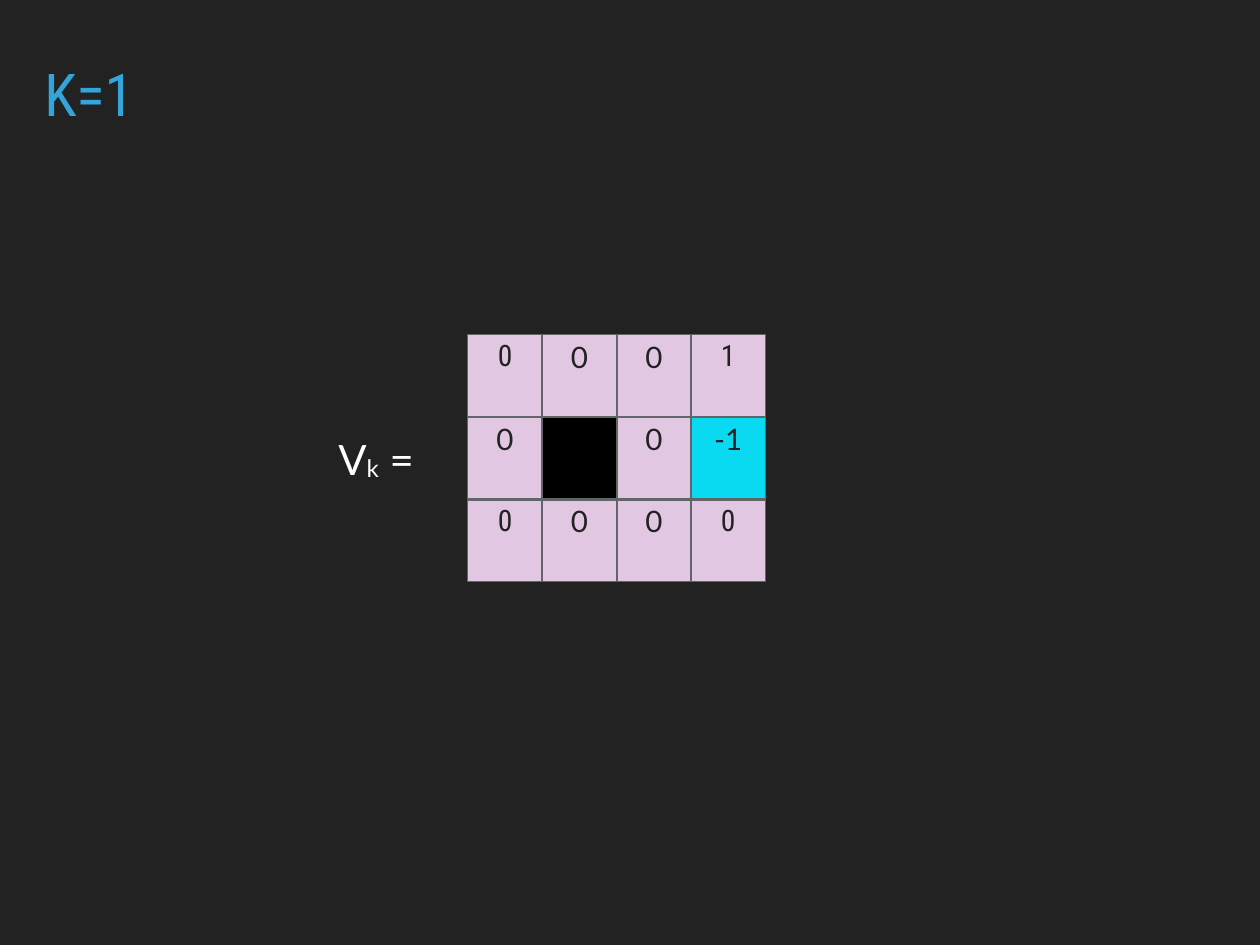
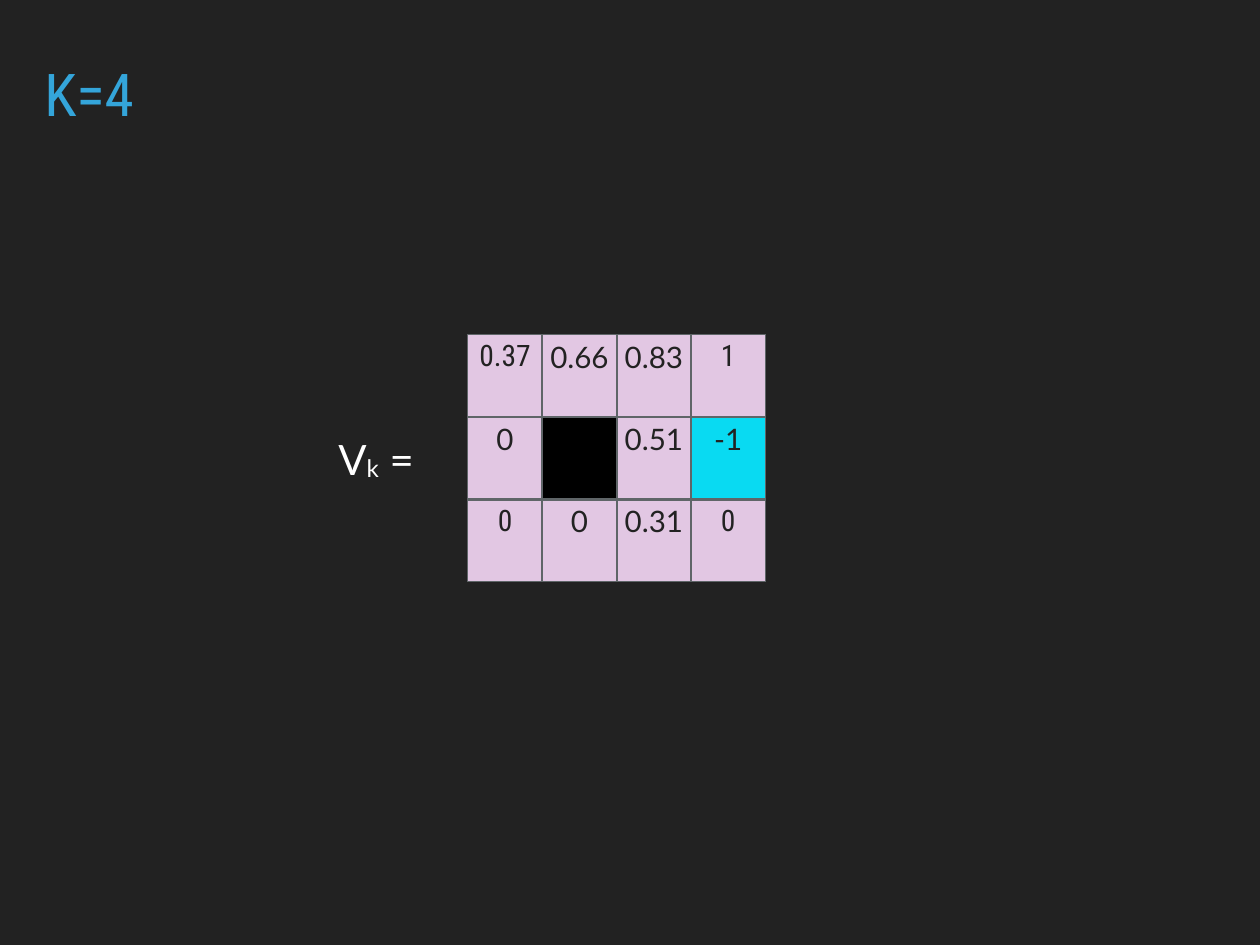
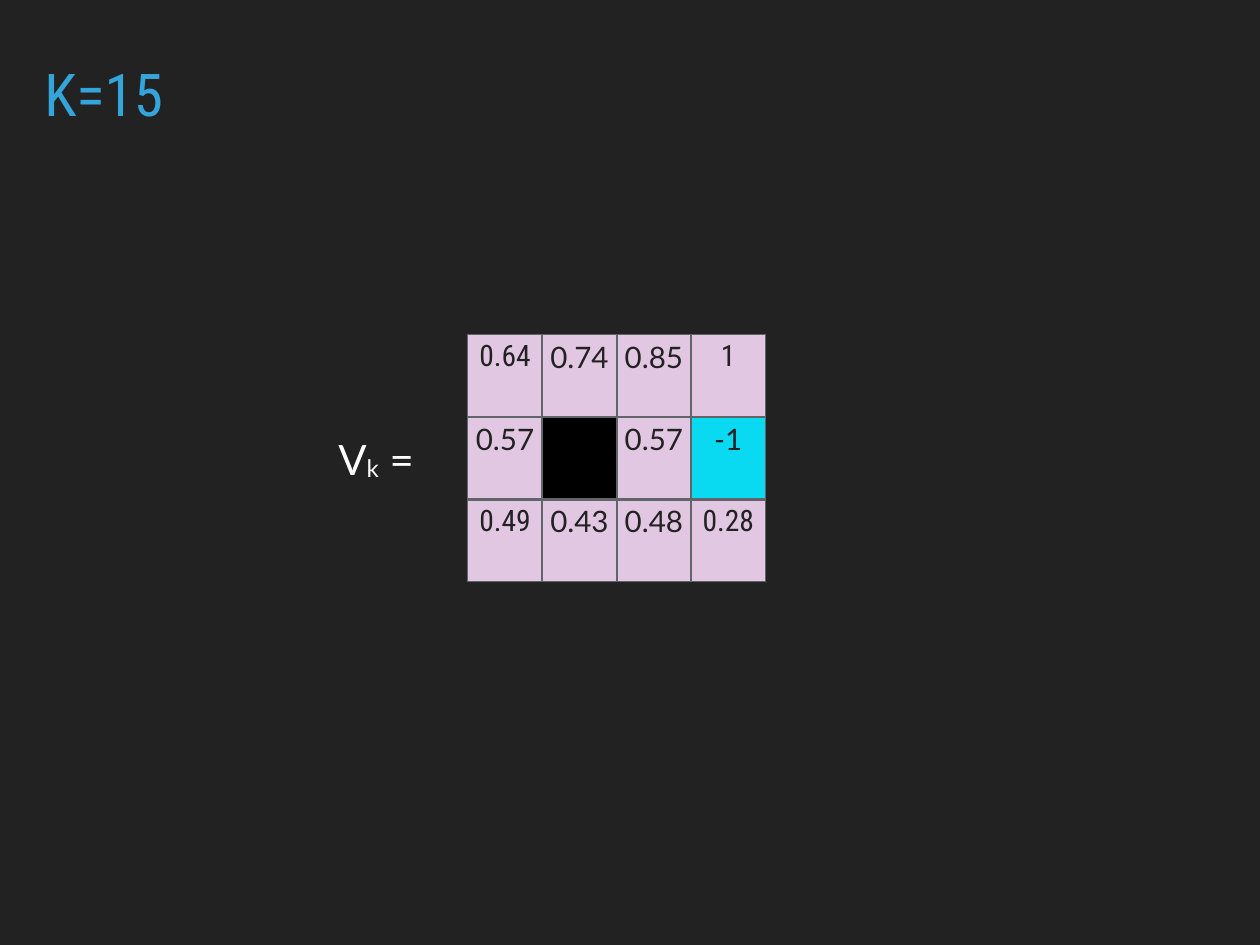
"""Build three slides of grid-world values after 1, 4 and 15 iterations."""
from lxml import etree
from pptx import Presentation
from pptx.dml.color import RGBColor
from pptx.enum import text
from pptx.oxml import ns
from pptx.util import Inches, Pt

BACKGROUND, TITLE, WHITE = "222222", "34A5DA", "FFFFFF"
CELL, WALL, PIT, BORDER = "E2C7E3", "000000", "09DAF2", "5F6568"
CONDENSED, BODY = "Roboto Condensed", "Lato"
ROWS, COLUMNS = 3, 4
CELL_WIDTH, CELL_HEIGHT = 0.84, 0.93
SPECIAL_FILLS = {(1, 1): WALL, (1, 3): PIT}
ITERATIONS = {
    1: [["0", "0", "0", "1"], ["0", "", "0", "-1"], ["0", "0", "0", "0"]],
    4: [["0.37", "0.66", "0.83", "1"], ["0", "", "0.51", "-1"], ["0", "0", "0.31", "0"]],
    15: [["0.64", "0.74", "0.85", "1"], ["0.57", "", "0.57", "-1"], ["0.49", "0.43", "0.48", "0.28"]],
}


def style(font, name, size, color):
    font.name = name
    font.size = Pt(size)
    font.color.rgb = RGBColor.from_string(color)


def add_text_box(slide, left, top, width, height):
    frame = slide.shapes.add_textbox(Inches(left), Inches(top), Inches(width), Inches(height)).text_frame
    frame.margin_left = frame.margin_right = frame.margin_top = frame.margin_bottom = Inches(0.06)
    return frame


presentation = Presentation()
presentation.slide_width = Inches(14.22)
presentation.slide_height = Inches(10.67)
background = presentation.slide_master.background.fill
background.solid()
background.fore_color.rgb = RGBColor.from_string(BACKGROUND)

for iteration, values in ITERATIONS.items():
    slide = presentation.slides.add_slide(presentation.slide_layouts[6])

    table = slide.shapes.add_table(
        ROWS, COLUMNS, Inches(5.28), Inches(3.78),
        Inches(COLUMNS * CELL_WIDTH), Inches(ROWS * CELL_HEIGHT)).table
    table.first_row = table.horz_banding = False
    for row in range(ROWS):
        for column in range(COLUMNS):
            cell = table.cell(row, column)
            cell.margin_left = cell.margin_right = Inches(0.06)
            cell.margin_top = cell.margin_bottom = Inches(0.05)

            outer_edges = {"lnL": column == 0, "lnR": column == COLUMNS - 1,
                           "lnT": row == 0, "lnB": row == ROWS - 1}
            properties = cell._tc.get_or_add_tcPr()
            for edge, is_outer in outer_edges.items():
                line = etree.SubElement(properties, ns.qn(f"a:{edge}"), w=str(Pt(0.96 if is_outer else 1.98)))
                line_fill = etree.SubElement(line, ns.qn("a:solidFill"))
                etree.SubElement(line_fill, ns.qn("a:srgbClr"), val=BORDER)

            cell.fill.solid()
            cell.fill.fore_color.rgb = RGBColor.from_string(SPECIAL_FILLS.get((row, column), CELL))
            cell.text = values[row][column]
            is_corner = row in (0, ROWS - 1) and column in (0, COLUMNS - 1)
            paragraph = cell.text_frame.paragraphs[0]
            paragraph.alignment = text.PP_ALIGN.CENTER
            style(paragraph.font, CONDENSED if is_corner else BODY, 24, BACKGROUND)

    title = add_text_box(slide, 0.44, 0.74, 13.33, 0.79)
    title.word_wrap = True
    title.text = f"K={iteration}"
    title.paragraphs[0].line_spacing = 0.8
    style(title.paragraphs[0].font, CONDENSED, 48, TITLE)

    label = add_text_box(slide, 3.76, 4.84, 1.29, 0.68)
    label.word_wrap = False
    label.auto_size = text.MSO_AUTO_SIZE.SHAPE_TO_FIT_TEXT
    label.vertical_anchor = text.MSO_ANCHOR.MIDDLE
    paragraph = label.paragraphs[0]
    style(paragraph.font, BODY, 34, WHITE)
    for part in ("V", "k", " ="):
        run = paragraph.add_run()
        run.text = part
        if part == "k":
            run._r.get_or_add_rPr().set("baseline", "-5000")

presentation.save("out.pptx")
